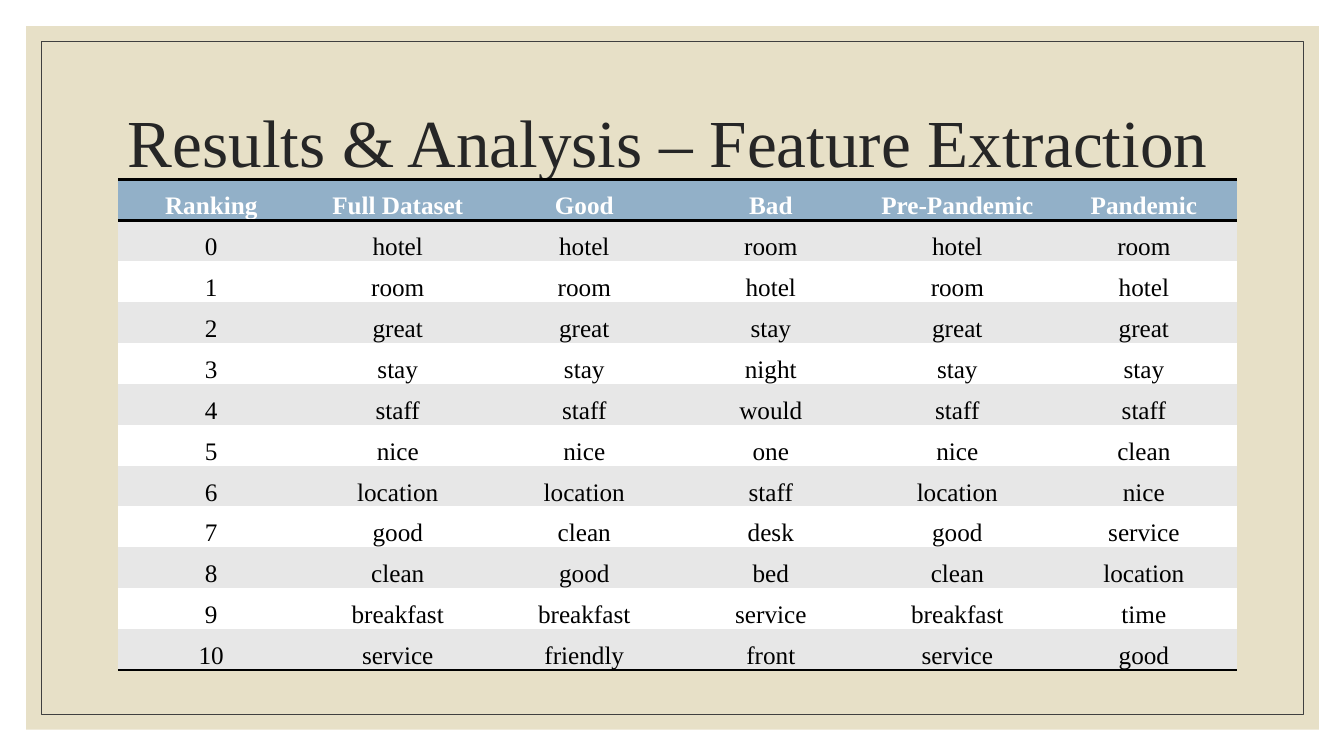
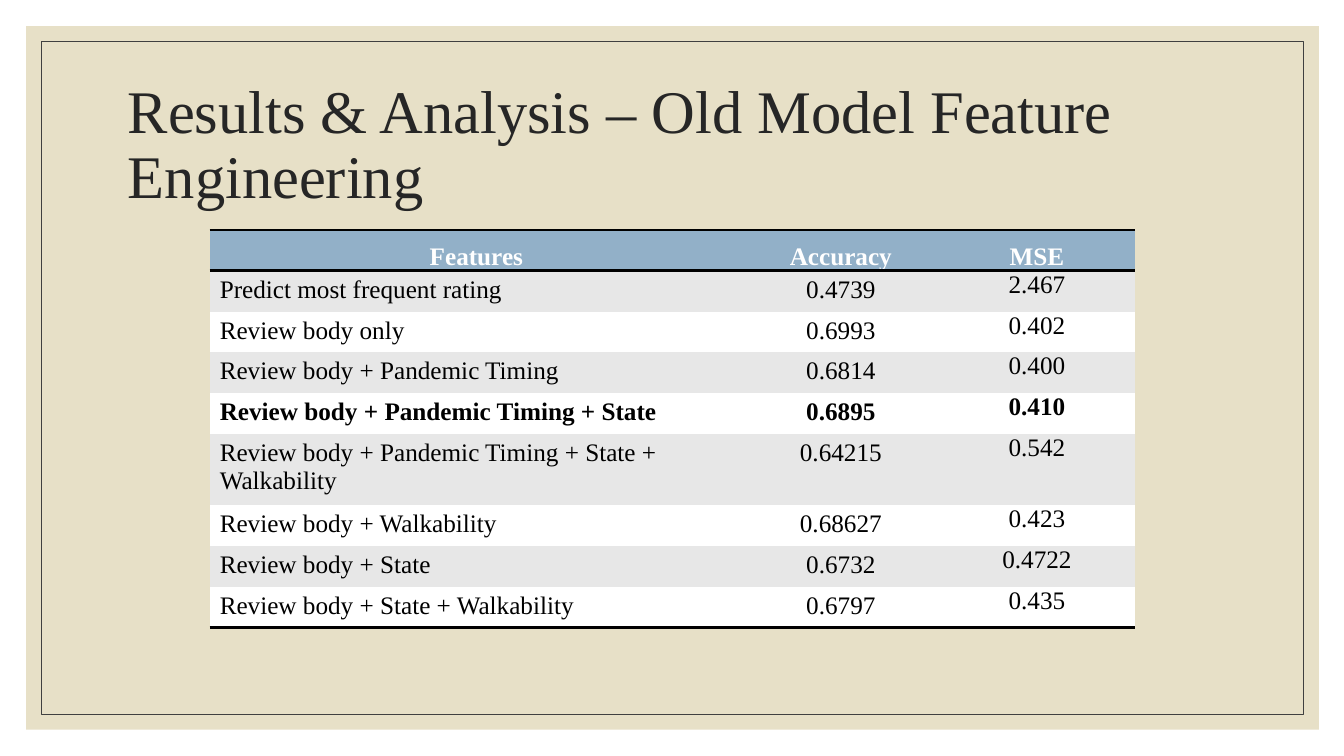
from lxml.etree import SubElement
from pptx import Presentation
from pptx.dml.color import RGBColor
from pptx.enum.shapes import MSO_SHAPE
from pptx.enum.text import MSO_ANCHOR, PP_ALIGN
from pptx.oxml.ns import qn
from pptx.util import Inches, Pt

FONT = "Times New Roman"
SAND, FRAME, INK = "E7E0C7", "404040", "262626"
BLUE, GREY, WHITE, BLACK = "92B0C8", "E7E7E7", "FFFFFF", "000000"
PLAIN_STYLE = "{2D5ABB26-0587-4C30-8999-92F81FD0307C}"

SNUG = (PP_ALIGN.CENTER, MSO_ANCHOR.BOTTOM, (0.01, 0.01, 0.01, 0))
LABEL = (PP_ALIGN.LEFT, MSO_ANCHOR.TOP, (0.1, 0.05, 0.1, 0.05))
NUMBER = (PP_ALIGN.CENTER, MSO_ANCHOR.TOP, (0.1, 0.05, 0.1, 0.05))
FLUSH = (PP_ALIGN.CENTER, MSO_ANCHOR.TOP, (0, 0, 0, 0))

SLIDES = [
    {
        "title": "Results & Analysis – Feature Extraction",
        "title_size": 48,
        "title_width": 11,
        "table_at": (1.17, 1.78, 11.11, 4.87),
        "column_widths": [1.85] * 6,
        "column_styles": [SNUG] * 6,
        "bold_rows": [0],
        "rows": [
            ["Ranking", "Full Dataset", "Good", "Bad", "Pre-Pandemic", "Pandemic"],
            ["0", "hotel", "hotel", "room", "hotel", "room"],
            ["1", "room", "room", "hotel", "room", "hotel"],
            ["2", "great", "great", "stay", "great", "great"],
            ["3", "stay", "stay", "night", "stay", "stay"],
            ["4", "staff", "staff", "would", "staff", "staff"],
            ["5", "nice", "nice", "one", "nice", "clean"],
            ["6", "location", "location", "staff", "location", "nice"],
            ["7", "good", "clean", "desk", "good", "service"],
            ["8", "clean", "good", "bed", "clean", "location"],
            ["9", "breakfast", "breakfast", "service", "breakfast", "time"],
            ["10", "service", "friendly", "front", "service", "good"],
        ],
    },
    {
        "title": "Results & Analysis – Old Model Feature Engineering",
        "title_size": 43.2,
        "title_width": 11.53,
        "table_at": (2.08, 2.28, 9.18, 3.65),
        "column_widths": [5.29, 1.94, 1.95],
        "column_styles": [LABEL, NUMBER, FLUSH],
        "bold_rows": [0, 4],
        "rows": [
            ["Features", "Accuracy", "MSE"],
            ["Predict most frequent rating", "0.4739", "2.467"],
            ["Review body only", "0.6993", "0.402"],
            ["Review body + Pandemic Timing", "0.6814", "0.400"],
            ["Review body + Pandemic Timing + State", "0.6895", "0.410"],
            ["Review body + Pandemic Timing + State + Walkability", "0.64215", "0.542"],
            ["Review body + Walkability", "0.68627", "0.423"],
            ["Review body + State", "0.6732", "0.4722"],
            ["Review body + State + Walkability", "0.6797", "0.435"],
        ],
    },
]


def paint(target, color):
    if hasattr(target, "solid"):
        target.solid()
        target = target.fore_color
    else:
        target = target.color
    target.rgb = RGBColor.from_string(color)


def add_span(para, text, size, color, bold=False):
    span = para.add_run()
    span.text = text
    span.font.name = FONT
    span.font.size = Pt(size)
    span.font.bold = bold
    paint(span.font, color)


deck = Presentation()
deck.slide_width = Inches(13.33)
deck.slide_height = Inches(7.5)

for content in SLIDES:
    page = deck.slides.add_slide(deck.slide_layouts[6])
    paint(page.background.fill, WHITE)

    panel = page.shapes.add_shape(
        MSO_SHAPE.RECTANGLE, Inches(0.26), Inches(0.26), Inches(12.82), Inches(6.98))
    panel.shadow.inherit = False
    paint(panel.fill, SAND)
    panel.line.fill.background()

    frame = page.shapes.add_shape(
        MSO_SHAPE.RECTANGLE, Inches(0.41), Inches(0.41), Inches(12.52), Inches(6.68))
    frame.shadow.inherit = False
    frame.fill.background()
    paint(frame.line, FRAME)
    frame.line.width = Pt(0.5)

    title_box = page.shapes.add_textbox(
        Inches(1.17), Inches(0.7), Inches(content["title_width"]), Inches(1.5))
    title_box.text_frame.word_wrap = True
    title_box.text_frame.vertical_anchor = MSO_ANCHOR.MIDDLE
    para = title_box.text_frame.paragraphs[0]
    para.line_spacing = 0.9
    add_span(para, content["title"], content["title_size"], INK)

    rows = content["rows"]
    last_row = len(rows) - 1
    table_box = page.shapes.add_table(
        len(rows), len(rows[0]), *[Inches(length) for length in content["table_at"]])
    table = table_box.table
    for style_id in table_box.element.iter(qn("a:tableStyleId")):
        style_id.text = PLAIN_STYLE
    for column, width in zip(table.columns, content["column_widths"]):
        column.width = Inches(width)

    for row_index, row in enumerate(rows):
        is_header = row_index == 0
        fill = BLUE if is_header else GREY if row_index % 2 else WHITE
        edges = ["a:lnT", "a:lnB"] if is_header else ["a:lnB"] if row_index == last_row else []
        for column_index, text in enumerate(row):
            cell = table.cell(row_index, column_index)
            align, anchor, insets = SNUG if is_header else content["column_styles"][column_index]
            cell.vertical_anchor = anchor
            cell.margin_left, cell.margin_top, cell.margin_right, cell.margin_bottom = [
                Inches(inset) for inset in insets]
            para = cell.text_frame.paragraphs[0]
            para.alignment = align
            add_span(para, text, 18, WHITE if is_header else BLACK,
                     row_index in content["bold_rows"])

            properties = cell._tc.get_or_add_tcPr()
            for edge in edges:
                border = SubElement(properties, qn(edge), w=str(Pt(2)))
                border_fill = SubElement(border, qn("a:solidFill"))
                SubElement(border_fill, qn("a:srgbClr"), val=BLACK)
            paint(cell.fill, fill)

deck.save("out.pptx")
